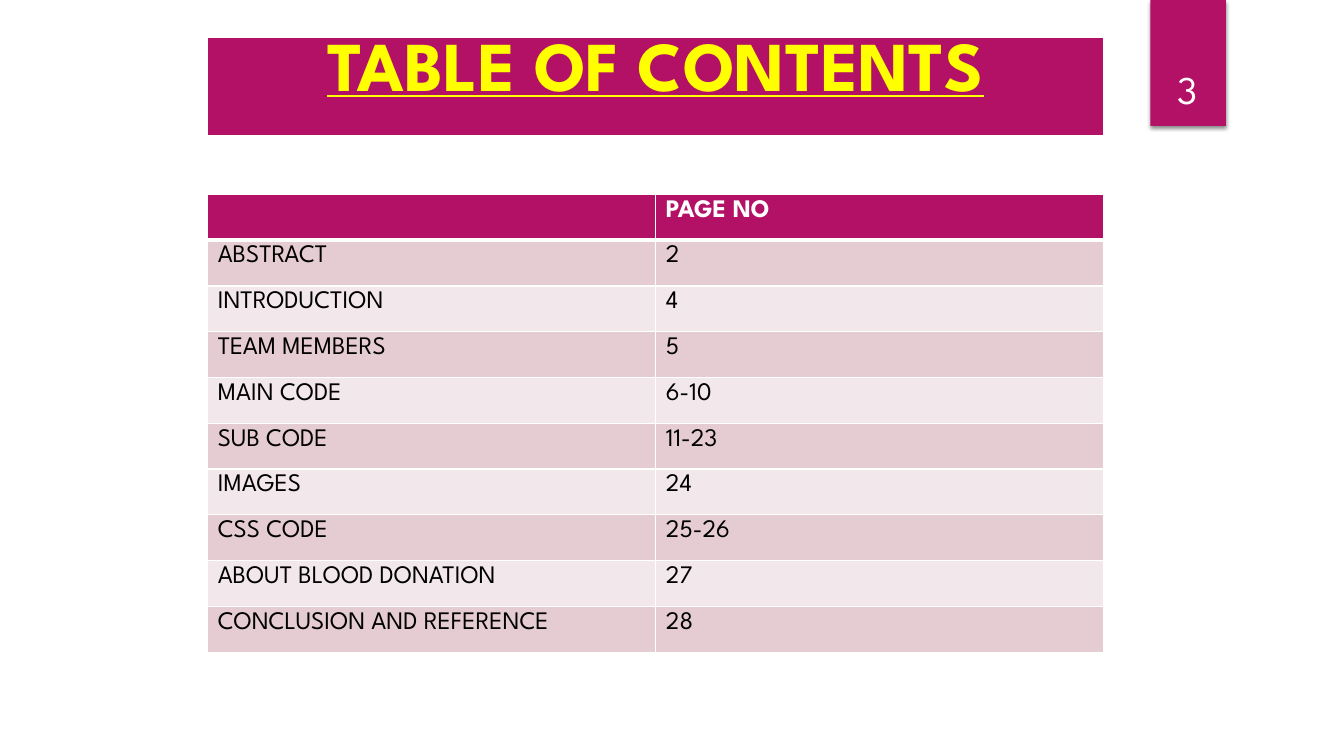
from lxml.etree import SubElement as Sub
from pptx import Presentation
from pptx.dml.color import RGBColor as Color
from pptx.enum.shapes import MSO_SHAPE as Shape
from pptx.enum.text import MSO_ANCHOR as Anchor, PP_ALIGN as Align
from pptx.oxml import parse_xml
from pptx.oxml.ns import nsdecls, qn
from pptx.util import Inches, Pt

FONT = "League Spartan"
PINK = Color(0xB3, 0x11, 0x66)
YELLOW = Color(0xFF, 0xFF, 0x00)
WHITE = Color(0xFF, 0xFF, 0xFF)
BLACK = Color(0, 0, 0)
BANDS = Color(0xE5, 0xCC, 0xD3), Color(0xF2, 0xE7, 0xEA)

LEFT, WIDTH = 2.06, 8.89
ROWS = [
    ("", "PAGE NO"),
    ("ABSTRACT", "2"),
    ("INTRODUCTION", "4"),
    ("TEAM MEMBERS", "5"),
    ("MAIN CODE", "6-10"),
    ("SUB CODE", "11-23"),
    ("IMAGES", "24"),
    ("CSS CODE", "25-26"),
    ("ABOUT BLOOD DONATION", "27"),
    ("CONCLUSION AND REFERENCE", "28"),
]


def inches(*box):
    return [Inches(n) for n in box]


def style(para, size, color, bold=False, align=Align.LEFT):
    para.alignment = align
    font = para.font
    font.name, font.size, font.bold = FONT, Pt(size), bold
    font.color.rgb = color


def paint(shape, color):
    shape.fill.solid()
    shape.fill.fore_color.rgb = color


def rule(cell, **widths):
    """Draw white cell borders; sides are L, R, T, B with widths in points."""
    props = cell._tc.get_or_add_tcPr()
    for spot, (side, width) in enumerate(widths.items()):
        line = parse_xml(f'<a:ln{side} {nsdecls("a")} w="{Pt(width)}"/>')
        fill = Sub(line, qn("a:solidFill"))
        Sub(fill, qn("a:srgbClr"), val=str(WHITE))
        props.insert(spot, line)


def fill_cell(cell, text, color, top=1, bottom=1):
    """Write and paint one cell, and return its paragraph."""
    cell.text = text
    paint(cell, color)
    rule(cell, L=1, R=1, T=top, B=bottom)
    return cell.text_frame.paragraphs[0]


def add_title(slide, box):
    table = slide.shapes.add_table(1, 1, *inches(*box)).table
    para = fill_cell(table.cell(0, 0), "TABLE OF CONTENTS", PINK, bottom=3)
    style(para, 50, YELLOW, True, Align.CENTER)
    para.font.underline = True


def add_contents(slide, box):
    table = slide.shapes.add_table(len(ROWS), 2, *inches(*box)).table
    for r, row in enumerate(ROWS):
        head = r == 0
        fill = PINK if head else BANDS[(r - 1) % 2]
        for c, text in enumerate(row):
            para = fill_cell(table.cell(r, c), text, fill,
                             top=3 if r == 1 else 1, bottom=3 if head else 1)
            style(para, 18, WHITE if head else BLACK, head)


def add_ribbon(slide, box):
    """Place the page number on a ribbon hanging from the top edge."""
    left, top, width, height = box
    ribbon = slide.shapes.add_shape(Shape.RECTANGLE, *inches(*box))
    paint(ribbon, PINK)
    ribbon.line.fill.background()
    ribbon.shadow.inherit = False
    effects = ribbon._element.spPr.find(qn("a:effectLst"))
    shade = Sub(effects, qn("a:outerShdw"), blurRad=str(Pt(3)), dist=str(Pt(2)),
                dir="5400000", rotWithShape="0")
    tint = Sub(shade, qn("a:srgbClr"), val=str(BLACK))
    Sub(tint, qn("a:alpha"), val="45000")

    label = slide.shapes.add_textbox(
        *inches(left - 0.09, top + 0.32, width + 0.17, height - 0.41))
    frame = label.text_frame
    frame.word_wrap = True
    frame.vertical_anchor = Anchor.BOTTOM
    frame.text = "3"
    style(frame.paragraphs[0], 28, WHITE, align=Align.CENTER)


def main():
    deck = Presentation()
    deck.slide_width, deck.slide_height = inches(13.33, 7.5)
    slide = deck.slides.add_slide(deck.slide_layouts[6])
    add_ribbon(slide, (11.41, 0, 0.75, 1.25))
    add_title(slide, (LEFT, 0.37, WIDTH, 0.99))
    add_contents(slide, (LEFT, 1.93, WIDTH, 4.54))
    deck.save("out.pptx")


if __name__ == "__main__":
    main()
